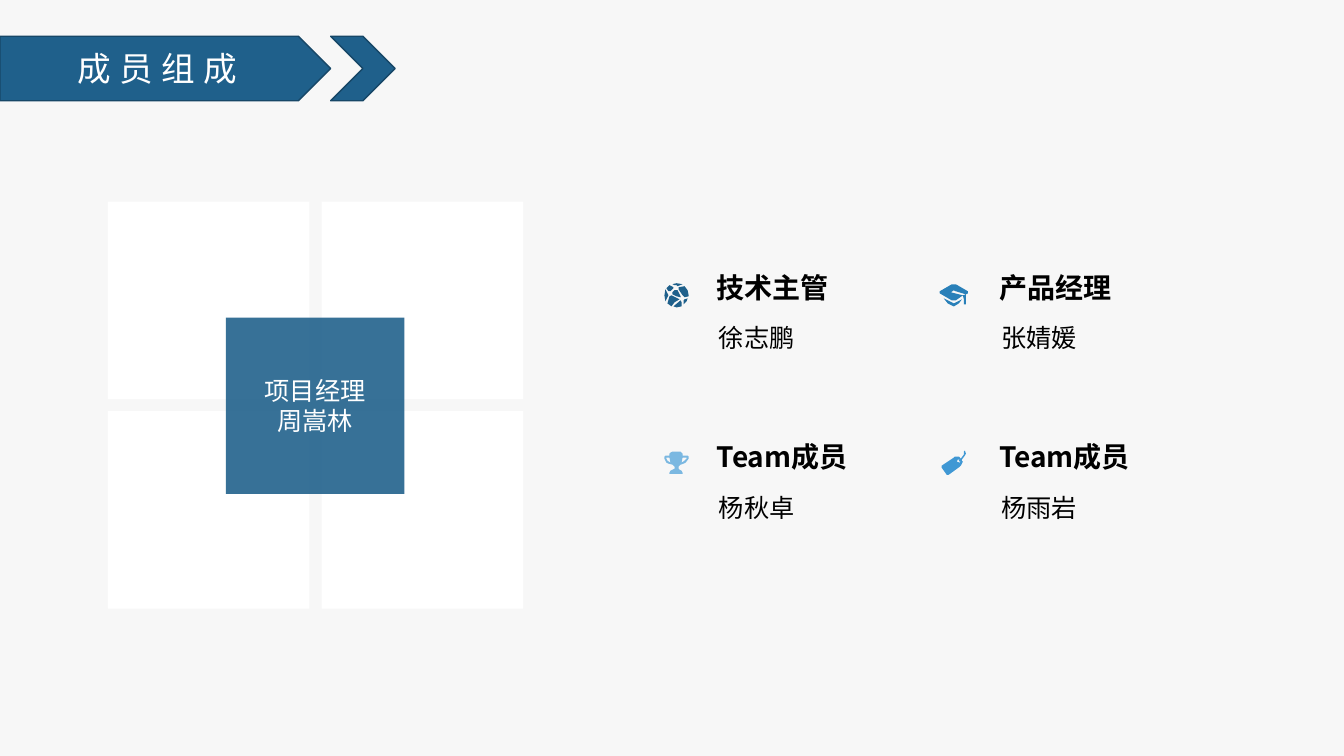
from dataclasses import dataclass

from lxml import etree
from pptx import Presentation
from pptx.dml.color import RGBColor
from pptx.enum import shapes, text
from pptx.oxml.ns import qn
from pptx.util import Inches, Pt


@dataclass(frozen=True)
class Theme:
    font: str = "Noto Sans CJK SC"
    background: str = "F7F7F7"
    primary: str = "1F608B"
    outline: str = "174767"
    light: str = "FFFFFF"
    dark: str = "000000"
    title_size: int = 24
    role_size: int = 20
    body_size: int = 18


@dataclass(frozen=True)
class Icon:
    """Outlines hold points in hundredths of an inch from the icon's corner."""
    left: float
    top: float
    color: str
    outlines: tuple[str, ...]


@dataclass(frozen=True)
class Member:
    role: str
    name: str
    icon: Icon


THEME = Theme()

GLOBE = Icon(6.59, 2.81, THEME.primary, (
    "16,17 9,23 12,24 17,23 17,19",
    "20,3 14,4 14,6 18,12 20,14 24,13 24,12 23,7",
    "15,16 7,12 5,13 3,20 7,23 10,19",
    "19,17 19,21 22,18 23,15 20,16",
    "16,14 16,13 13,7 10,7 8,9 8,11 12,13",
    "12,2 13,3 18,1 12,0 8,1 10,2",
    "3,10 1,6 0,12 1,18 4,12",
    "6,8 9,5 9,4 5,2 2,5 4,8",
))
CAP = Icon(9.31, 2.82, "2980B9", (
    "25,20 27,20 27,10 24,11 25,15",
    "29,7 17,0 13,0 1,7 1,9 13,16 17,16 24,11 16,9 12,8 15,6 17,7 27,10 29,9",
    "5,14 9,19 15,22 20,19 23,15 15,19",
))
TROPHY = Icon(6.59, 4.48, "7BB8E1", (
    "22,7 20,9 17,11 18,6 22,6",
    "3,9 2,7 2,6 5,6 6,11",
    "23,4 18,4 18,2 16,0 8,0 6,1 5,2 5,4 1,4 0,5 0,7 2,11 4,12 8,13 10,15 "
    "10,17 8,18 6,19 5,21 5,22 18,22 18,21 17,19 15,18 14,17 14,15 15,14 "
    "16,13 19,12 21,11 24,7 24,5",
))
TAG = Icon(9.34, 4.47, "4098D4", (
    "18,12 15,11 16,9 18,9 17,10 18,11 19,10",
    "23,0 22,1 22,4 19,8 18,7 17,6 13,6 12,7 0,15 0,17 5,24 7,24 18,16 "
    "19,15 21,11 20,10 20,9 23,5 24,3",
))

MEMBERS = (
    Member("技术主管", "徐志鹏", GLOBE),
    Member("产品经理", "张婧媛", CAP),
    Member("Team成员", "杨秋卓", TROPHY),
    Member("Team成员", "杨雨岩", TAG),
)


def write_text(shape, content: str, *, size: int, color: str, bold: bool = False,
               align=text.PP_ALIGN.LEFT, anchor=text.MSO_ANCHOR.TOP,
               inset: float = 0, line_spacing: float = 1.0, tracking: int = 0) -> None:
    """Write one paragraph per line of content; tracking is in points."""
    frame = shape.text_frame
    frame.word_wrap = True
    frame.auto_size = text.MSO_AUTO_SIZE.NONE
    frame.vertical_anchor = anchor
    frame.margin_left = frame.margin_right = Inches(inset)
    frame.margin_top = frame.margin_bottom = Inches(inset / 2)
    frame.text = content
    for paragraph in frame.paragraphs:
        paragraph.alignment = align
        paragraph.line_spacing = line_spacing
        for run in paragraph.runs:
            run.font.name = THEME.font
            run.font.size = Pt(size)
            run.font.bold = bold
            run.font.color.rgb = RGBColor.from_string(color)
            properties = run.font._element
            etree.SubElement(properties, qn("a:ea")).set("typeface", THEME.font)
            if tracking:
                properties.set("spc", str(tracking * 100))


def paint(shape, fill: str, line: str | None = None, opacity: int = 100) -> None:
    """Set fill, outline and opacity in percent, and drop the shadow."""
    shape.shadow.inherit = False
    shape.fill.solid()
    shape.fill.fore_color.rgb = RGBColor.from_string(fill)
    if opacity < 100:
        color = shape.fill._xPr.find(qn("a:solidFill"))[0]
        etree.SubElement(color, qn("a:alpha")).set("val", str(opacity * 1000))
    if line:
        shape.line.color.rgb = RGBColor.from_string(line)
        shape.line.width = Pt(1)
    else:
        shape.line.fill.background()


def add_block(slide, kind, left: float, top: float, width: float, height: float,
              fill: str, **style):
    shape = slide.shapes.add_shape(
        kind, Inches(left), Inches(top), Inches(width), Inches(height))
    paint(shape, fill, **style)
    return shape


def add_label(slide, content: str, left: float, top: float, width: float,
              height: float, **style) -> None:
    box = slide.shapes.add_textbox(
        Inches(left), Inches(top), Inches(width), Inches(height))
    write_text(box, content, color=THEME.dark, **style)


def add_icon(slide, icon: Icon) -> None:
    builder = None
    for outline in icon.outlines:
        points = [tuple(map(int, pair.split(","))) for pair in outline.split()]
        if builder is None:
            builder = slide.shapes.build_freeform(*points[0], scale=Inches(0.01))
        else:
            builder.move_to(*points[0])
        builder.add_line_segments(points[1:], close=True)
    paint(builder.convert_to_shape(Inches(icon.left), Inches(icon.top)), icon.color)


def add_banner(slide) -> None:
    """Draw the arrow banner and lay the title over it."""
    for kind, left, width in ((shapes.MSO_SHAPE.PENTAGON, 0, 3.28),
                              (shapes.MSO_SHAPE.CHEVRON, 3.28, 0.64)):
        add_block(slide, kind, left, 0.36, width, 0.64, THEME.primary,
                  line=THEME.outline)
    title = slide.shapes.title
    title.left, title.top = Inches(0), Inches(0.36)
    title.width, title.height = Inches(3.12), Inches(0.64)
    write_text(title, "成员组成", size=THEME.title_size, color=THEME.light,
               align=text.PP_ALIGN.CENTER, anchor=text.MSO_ANCHOR.MIDDLE,
               inset=0.1, tracking=6)
    slide.shapes._spTree.append(title._element)


def add_manager(slide) -> None:
    """Draw four white tiles with the project manager in the middle."""
    rectangle = shapes.MSO_SHAPE.RECTANGLE
    for index in range(4):
        row, column = divmod(index, 2)
        add_block(slide, rectangle, 1.07 + 2.12 * column, 2 + 2.08 * row, 2, 1.96,
                  THEME.light)
    manager = add_block(slide, rectangle, 2.24, 3.15, 1.77, 1.75, THEME.primary,
                        opacity=89)
    write_text(manager, "项目经理\n周嵩林", size=THEME.body_size, color=THEME.light,
               align=text.PP_ALIGN.CENTER, anchor=text.MSO_ANCHOR.MIDDLE, inset=0.1)


def add_members(slide) -> None:
    for index, member in enumerate(MEMBERS):
        row, column = divmod(index, 2)
        left, top = 7.11 + 2.8 * column, 2.68 + 1.68 * row
        add_icon(slide, member.icon)
        add_label(slide, member.name, left + 0.02, top + 0.46, 2.21, 1.07,
                  size=THEME.body_size, line_spacing=1.2)
        add_label(slide, member.role, left, top, 1.86, 0.34,
                  size=THEME.role_size, bold=True)


def main() -> None:
    presentation = Presentation()
    presentation.slide_width = Inches(13.33)
    presentation.slide_height = Inches(7.5)
    slide = presentation.slides.add_slide(presentation.slide_layouts[5])
    slide.background.fill.solid()
    slide.background.fill.fore_color.rgb = RGBColor.from_string(THEME.background)
    add_banner(slide)
    add_manager(slide)
    add_members(slide)
    presentation.save("out.pptx")


if __name__ == "__main__":
    main()
